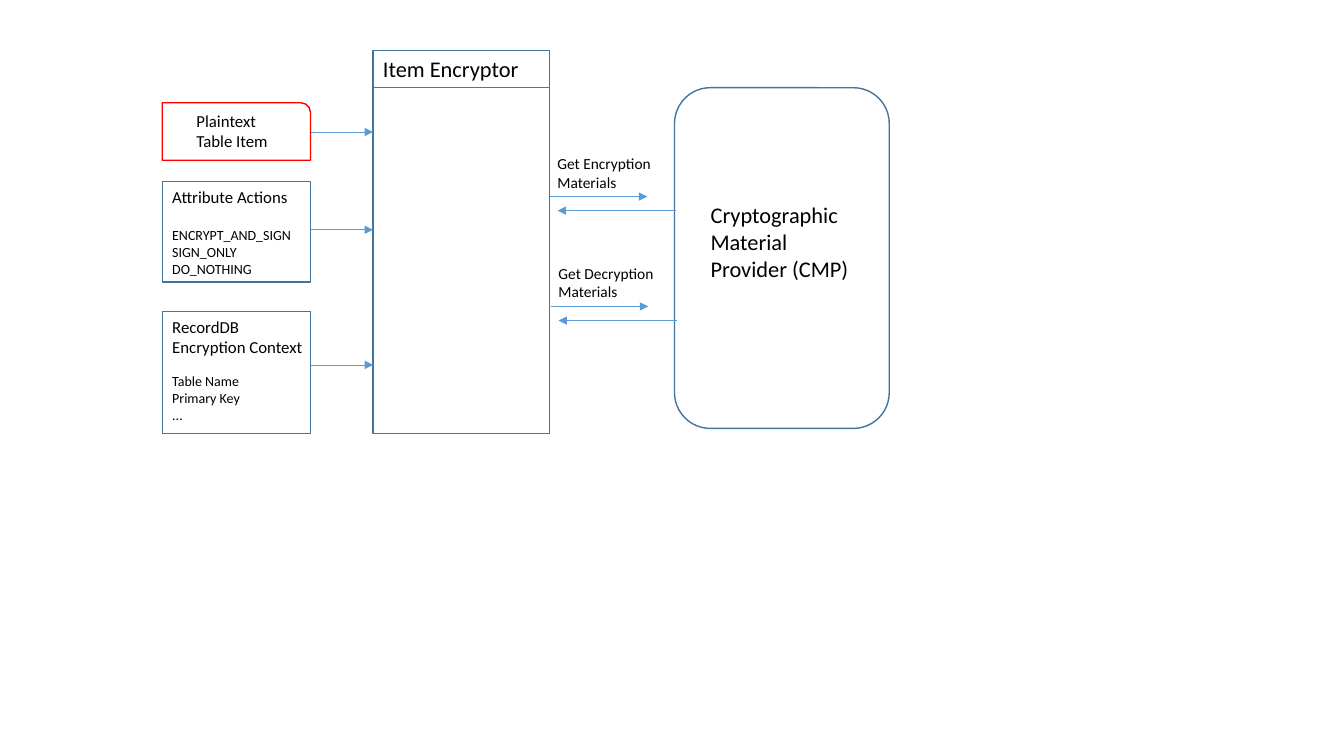
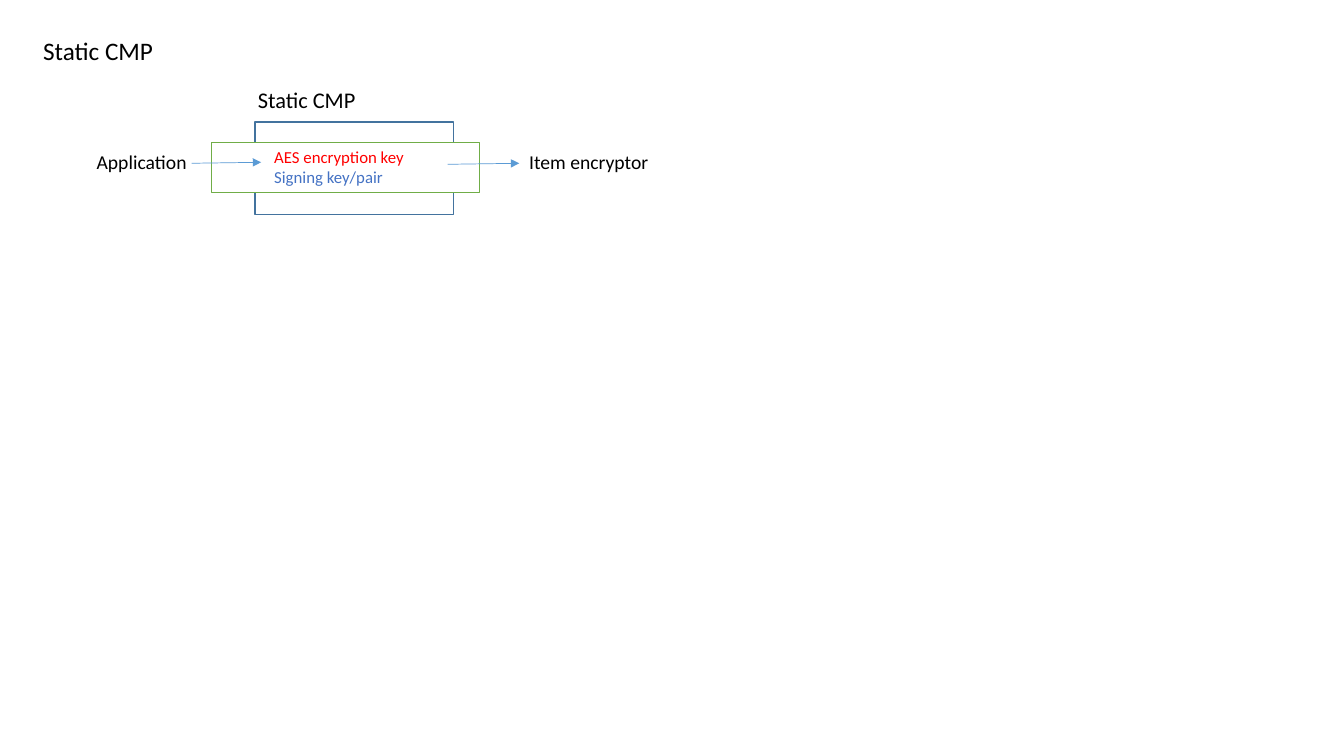
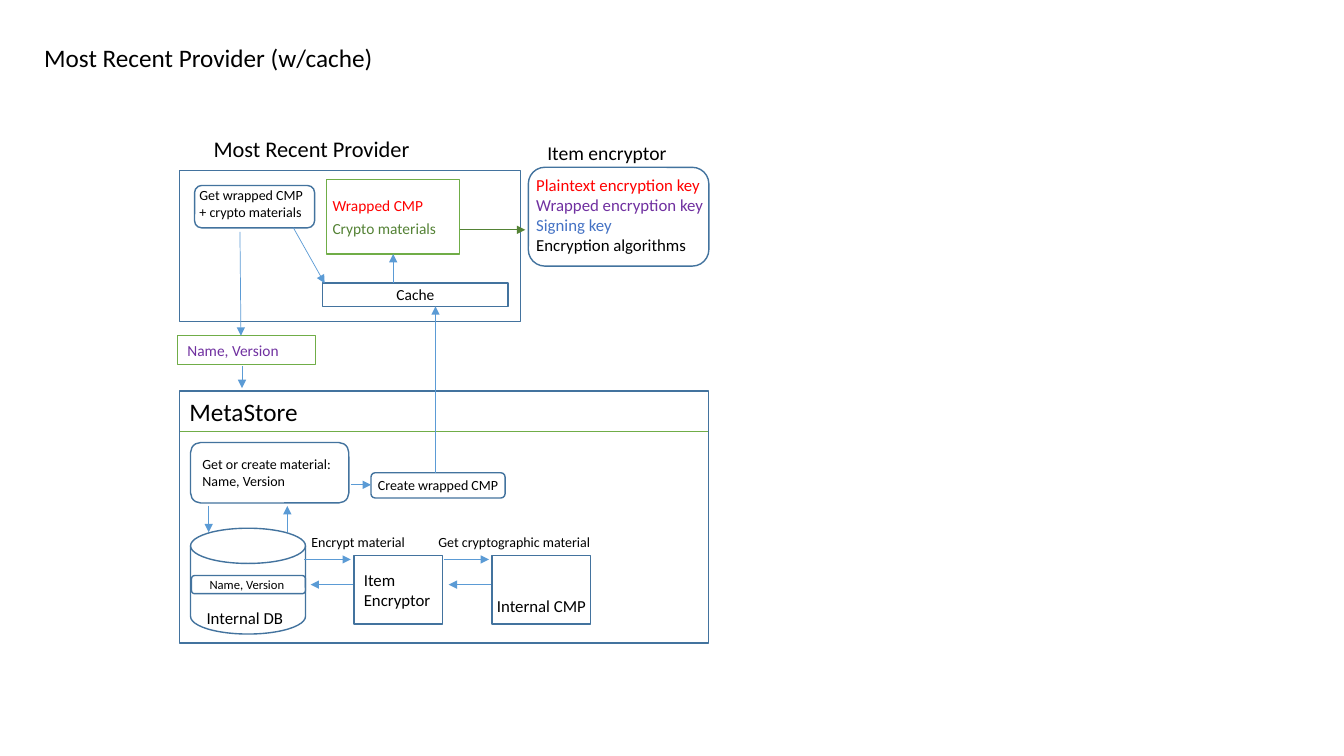
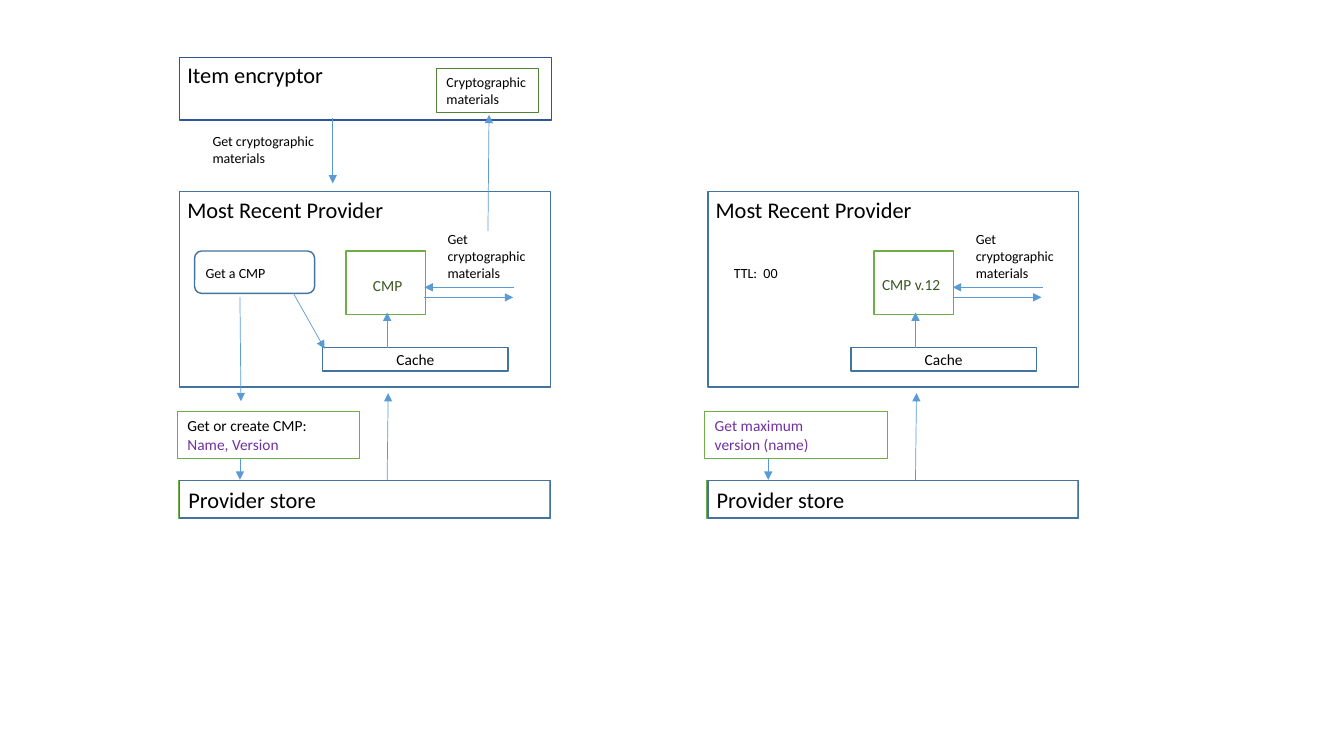
from itertools import cycle
from lxml.etree import SubElement
from pptx import Presentation
from pptx.dml.color import RGBColor
from pptx.enum.shapes import MSO_CONNECTOR, MSO_SHAPE
from pptx.enum.text import MSO_ANCHOR, MSO_AUTO_SIZE, PP_ALIGN
from pptx.oxml.ns import qn
from pptx.util import Inches, Pt

WIDTH, HEIGHT = Inches(13.33), Inches(7.5)
ROWS = 75
CELL = HEIGHT / ROWS
FONT = "Calibri"
LINE_SPACING = 1.2
LABEL_MARGIN = Inches(0.1)

BLACK, WHITE, RED, PURPLE = "000000", "FFFFFF", "FF0000", "7030A0"
STEEL, SKY, BLUE, NAVY = "43739E", "5B9BD5", "4472C4", "2F5597"
GREEN, FOREST, PINE = "70AD47", "548235", "385723"

SHAPES = {
    "rect": MSO_SHAPE.RECTANGLE,
    "round": MSO_SHAPE.ROUNDED_RECTANGLE,
    "corner": MSO_SHAPE.ROUND_1_RECTANGLE,
    "disk": MSO_SHAPE.FLOWCHART_MAGNETIC_DISK,
}
PLAIN = {"word_wrap": True, "vertical_anchor": MSO_ANCHOR.TOP}
MIDDLE = {"word_wrap": True, "vertical_anchor": MSO_ANCHOR.MIDDLE}
INDENTED = {**PLAIN, "margin_left": Inches(0.62)}
LABEL = {"word_wrap": False, "auto_size": MSO_AUTO_SIZE.SHAPE_TO_FIT_TEXT,
         "vertical_anchor": MSO_ANCHOR.TOP}

ENCRYPTOR = {
    "boxes": [
        ("rect", BLUE, 0.75, (37, 5, 17.5, 3.7), {"text": "Item Encryptor", "size": 16}),
        ("round", STEEL, 1, (66.9, 8.7, 21.3, 33.8)),
        ("corner", RED, 1, (16.1, 10.2, 14.7, 5.7)),
        ("rect", STEEL, 1, (16.1, 18, 14.7, 10)),
        ("rect", STEEL, 1, (16.1, 30.9, 14.7, 12.1)),
        ("rect", STEEL, 1, (37, 5, 17.5, 38)),
    ],
    "labels": [
        (69.5, 19.5, 18, 16, "Cryptographic\nMaterial\nProvider (CMP)"),
        (18.5, 10.5, 9.2, 12, "Plaintext\nTable Item"),
        (16.1, 18, 13.9, 12, "Attribute Actions"),
        (16.1, 22, 14, 10, "ENCRYPT_AND_SIGN\nSIGN_ONLY\nDO_NOTHING"),
        (16.1, 30.9, 15.5, 12, "RecordDB\nEncryption Context"),
        (16.1, 36.5, 9.2, 10, "Table Name\nPrimary Key\n..."),
        (54.3, 14.8, 11.4, 11, "Get Encryption\nMaterials"),
        (54.4, 25.7, 11.5, 11, "Get Decryption\nMaterials"),
    ],
    "arrows": [(30.8, row, 37, row) for row in (13.1, 22.8, 36.2)] + [
        (54.5, 19.5, 64.2, 19.5), (67, 20.9, 55.3, 20.9),
        (54.7, 30.4, 64.3, 30.4), (67.1, 31.8, 55.4, 31.8),
    ],
}

STATIC = {
    "boxes": [
        ("rect", STEEL, 1, (25.3, 12.1, 19.7, 9.2)),
        ("rect", GREEN, 0.75, (21, 14.1, 26.6, 5),
         {"text": "AES encryption key\nSigning key/pair", "size": 12,
          "colours": (RED, BLUE), "frame": INDENTED, "fill": WHITE}),
    ],
    "labels": [
        (3.3, 3, 13, 18, "Static CMP"),
        (8.6, 14.4, 11.1, 14, "Application"),
        (24.6, 8.1, 11.8, 16, "Static CMP"),
        (51.5, 14.4, 14, 14, "Item encryptor"),
    ],
    "arrows": [(44.4, 16.3, 51.5, 16.2), (19, 16.2, 25.9, 16.1)],
}

MOST_RECENT = {
    "boxes": [
        ("rect", STEEL, 1, (17.8, 16.9, 33.8, 15)),
        ("round", STEEL, 1, (52.4, 16.6, 17.9, 9.8)),
        ("rect", GREEN, 0.75, (17.8, 38.8, 52.5, 4), {"text": "MetaStore", "size": 18}),
        ("rect", GREEN, 0.75, (17.6, 33.3, 13.7, 2.9),
         {"text": "Name, Version", "size": 11, "colours": (PURPLE,)}),
        ("rect", GREEN, 1, (32.4, 17.8, 13.2, 7.4)),
        ("round", STEEL, 1, (19.3, 18.4, 11.9, 4.2)),
        ("rect", STEEL, 1, (17.8, 38.8, 52.5, 25)),
        ("rect", STEEL, 1, (48.8, 55.1, 9.8, 6.8)),
        ("round", STEEL, 1, (36.8, 46.9, 13.3, 2.5)),
        ("disk", STEEL, 1, (18.9, 52.4, 11.4, 10.5)),
        ("round", STEEL, 1, (19, 57.1, 11.3, 1.8)),
        ("round", STEEL, 1, (18.9, 43.9, 15.7, 6)),
        ("rect", STEEL, 1, (32, 28.1, 18.4, 2.3),
         {"text": "Cache", "size": 11, "frame": MIDDLE, "align": PP_ALIGN.CENTER}),
        ("rect", STEEL, 1, (35.1, 55.1, 8.8, 6.8),
         {"text": "Item\nEncryptor", "size": 12, "frame": MIDDLE}),
    ],
    "labels": [
        (3.4, 3.7, 36, 18, "Most Recent Provider (w/cache)"),
        (20.2, 12.9, 23, 16, "Most Recent Provider"),
        (53.3, 13.5, 14, 14, "Item encryptor"),
        (18.8, 18, 12.4, 10, "Get wrapped CMP\n+ crypto materials"),
        (32, 19, 11.1, 11, "Wrapped CMP", (RED,)),
        (32, 21.2, 12.6, 11, "Crypto materials", (FOREST,)),
        (48.3, 58.6, 10.9, 12, "Internal CMP"),
        (52.2, 16.8, 18.7, 12,
         "Plaintext encryption key\nWrapped encryption key\nSigning key\nEncryption algorithms",
         (RED, PURPLE, BLUE, BLACK)),
        (36.5, 46.8, 14.2, 10, "Create wrapped CMP"),
        (19.5, 59.8, 10.9, 12, "Internal DB"),
        (19.8, 56.7, 9.6, 9, "Name, Version"),
        (19.1, 44.7, 15, 10, "Get or create material:\nName, Version"),
        (42.5, 52.4, 17.3, 10, "Get cryptographic material"),
        (29.9, 52.4, 11.4, 10, "Encrypt material"),
    ],
    "arrows": [
        (23.8, 23, 23.9, 33.3), (24, 36.3, 24, 38.5), (43.2, 46.9, 43.2, 30.4),
        (45.6, 22.8, 52.1, 22.8, FOREST), (20.7, 50.2, 20.7, 52.8),
        (28.5, 52.8, 28.5, 50.2), (29.1, 22.6, 32.2, 28.1), (39, 28.1, 39, 25.2),
        (44, 55.5, 48.5, 55.5), (48.7, 58, 44.5, 58),
        (30.2, 55.5, 34.8, 55.5), (35, 58, 30.8, 58), (34.8, 48.1, 36.8, 48.1),
    ],
}

PROVIDER = {
    "boxes": [
        ("rect", STEEL, 1, (17.8, 19, 36.8, 19.4)),
        ("rect", GREEN, 0.75, (17.7, 47.7, 36.8, 3.7), {"text": "Provider store", "size": 16}),
        ("rect", GREEN, 1, (34.3, 24.9, 7.9, 6.3)),
        ("rect", STEEL, 1, (17.8, 47.7, 36.8, 3.7)),
        ("rect", STEEL, 1, (32, 34.5, 18.4, 2.3),
         {"text": "Cache", "size": 11, "frame": MIDDLE, "align": PP_ALIGN.CENTER}),
    ],
    "labels": [
        (17.6, 19, 23, 16, "Most Recent Provider"),
        (43.4, 22.4, 9.9, 10, "Get\ncryptographic\nmaterials"),
    ],
    "arrows": [
        (23.8, 45.5, 23.8, 47.6), (38.4, 47.6, 38.5, 39), (42.1, 29.5, 50.9, 29.5),
        (51, 28.5, 42.1, 28.5), (38.4, 34.5, 38.4, 31),
    ],
}
REQUEST = {
    "boxes": [
        ("rect", GREEN, 0.75, (17.6, 40.8, 18.1, 4.7),
         {"text": "Get or create CMP:\nName, Version", "size": 11, "colours": (BLACK, PURPLE)}),
        ("round", STEEL, 1, (19.3, 24.9, 11.9, 4.2)),
        ("rect", NAVY, 1, (17.8, 5.7, 36.9, 6.2)),
        ("rect", FOREST, 0.75, (43.3, 6.8, 10.1, 4.4),
         {"text": "Cryptographic\nmaterials", "size": 10}),
    ],
    "labels": [
        (17.6, 5.6, 15.7, 16, "Item encryptor"),
        (19.4, 25.7, 8, 10, "Get a CMP"),
        (36, 26.9, 4.9, 11, "CMP", (PINE,)),
        (20.1, 12.7, 13, 10, "Get cryptographic\nmaterials"),
    ],
    "arrows": [
        (23.8, 29.5, 23.9, 39.8), (29.1, 29.1, 32.2, 34.6),
        (33, 11.7, 33, 18.2), (48.4, 22.9, 48.5, 11.4),
    ],
}
REFRESH = {
    "boxes": [
        ("rect", GREEN, 0.75, (17.5, 40.8, 18.1, 4.7),
         {"text": "Get maximum\nversion (name)", "size": 11, "colours": (PURPLE,)}),
    ],
    "labels": [
        (19.4, 25.7, 6.4, 10, "TTL:  00"),
        (34.1, 26.8, 8, 11, "CMP v.12", (PINE,)),
    ],
    "arrows": [],
}
PANEL_STEP = 52.4
SLIDES = [
    [(0, ENCRYPTOR)],
    [(0, STATIC)],
    [(0, MOST_RECENT)],
    [(0, PROVIDER), (0, REQUEST), (PANEL_STEP, PROVIDER), (PANEL_STEP, REFRESH)],
]


def cells(*counts):
    return [round(count * CELL) for count in counts]


def colour(code):
    return RGBColor.from_string(code)


def apply(target, values):
    for name, value in values.items():
        setattr(target, name, value)


def write(frame, text, size, colours=(BLACK,), layout=PLAIN, align=PP_ALIGN.LEFT):
    apply(frame, layout)
    for index, (line, code) in enumerate(zip(text.split("\n"), cycle(colours))):
        para = frame.add_paragraph() if index else frame.paragraphs[0]
        para.alignment = align
        span = para.add_run()
        span.text = line
        apply(span.font, {"name": FONT, "size": Pt(size)})
        span.font.color.rgb = colour(code)


def draw_box(page, shift, shape, outline, points, place, content=None):
    left, top, width, height = place
    box = page.shapes.add_shape(SHAPES[shape], *cells(left + shift, top, width, height))
    box.shadow.inherit = False
    box.line.color.rgb = colour(outline)
    box.line.width = Pt(points)
    box.fill.background()
    if content:
        if "fill" in content:
            box.fill.solid()
            box.fill.fore_color.rgb = colour(content["fill"])
        write(box.text_frame, content["text"], content["size"],
              content.get("colours", (BLACK,)), content.get("frame", PLAIN),
              content.get("align", PP_ALIGN.LEFT))


def draw_label(page, shift, left, top, width, size, text, colours=(BLACK,)):
    height = LABEL_MARGIN + Pt(size * LINE_SPACING) * len(text.split("\n"))
    box = page.shapes.add_textbox(*cells(left + shift, top, width), height)
    write(box.text_frame, text, size, colours, LABEL)


def draw_arrow(page, shift, left, top, right, bottom, code=SKY):
    arrow = page.shapes.add_connector(
        MSO_CONNECTOR.STRAIGHT, *cells(left + shift, top, right + shift, bottom))
    arrow.line.color.rgb = colour(code)
    arrow.line.width = Pt(0.5)
    properties = arrow.line._get_or_add_ln()
    SubElement(properties, qn("a:tailEnd"), type="triangle")
    SubElement(properties.getparent(), qn("a:effectLst"))


DRAW = {"boxes": draw_box, "labels": draw_label, "arrows": draw_arrow}

deck = Presentation()
apply(deck, {"slide_width": WIDTH, "slide_height": HEIGHT})
for parts in SLIDES:
    page = deck.slides.add_slide(deck.slide_layouts[6])
    for shift, part in parts:
        for kind, draw in DRAW.items():
            for item in part[kind]:
                draw(page, shift, *item)
deck.save("out.pptx")
